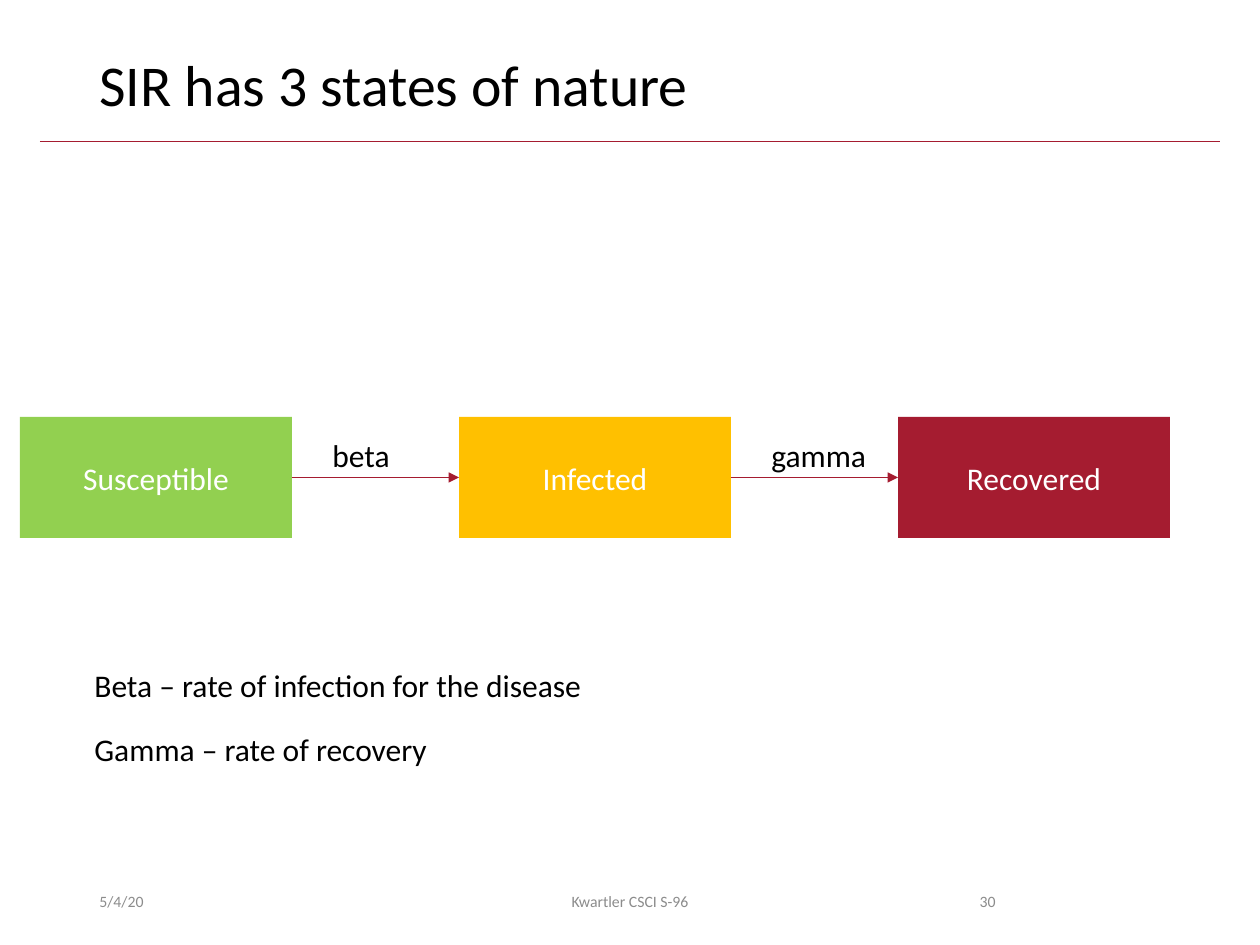
from lxml.etree import SubElement
from pptx import Presentation
from pptx.dml.color import RGBColor
from pptx.enum.shapes import MSO_CONNECTOR, MSO_SHAPE
from pptx.enum.text import MSO_ANCHOR as ANCHOR, PP_ALIGN as ALIGN
from pptx.oxml.ns import qn
from pptx.util import Pt

PX = 914400 / 126
CRIMSON = "A51C30"

prs = Presentation()
prs.slide_width, prs.slide_height = round(1260 * PX), round(945 * PX)
s = prs.slides.add_slide(prs.slide_layouts[6])


def write(sp, text, size, color, align=ALIGN.LEFT, anchor=ANCHOR.TOP, wrap=True):
    tf = sp.text_frame
    tf.word_wrap = wrap
    tf.vertical_anchor = anchor
    tf.text = text
    p = tf.paragraphs[0]
    p.alignment = align
    font = p.runs[0].font
    font.name, font.size = "Calibri", Pt(size)
    font.color.rgb = RGBColor.from_string(color)
    return p


def add_line(x1, x2, y):
    """Draw a thin horizontal line without shadow."""
    ends = [round(v * PX) for v in (x1, y, x2, y)]
    line = s.shapes.add_connector(MSO_CONNECTOR.STRAIGHT, *ends)
    line.line.color.rgb = RGBColor.from_string(CRIMSON)
    line.line.width = Pt(0.5)
    SubElement(line._element.spPr, qn("a:effectLst"))
    return line


# Title and rule
add_line(40, 1220, 141)
title = s.shapes.add_textbox(*[round(v * PX) for v in (87, 50, 1086, 82)])
write(title, "SIR has 3 states of nature", 33, "000000").line_spacing = 0.9

# Footer
for text, x, w, align in [("5/4/20", 87, 284, ALIGN.LEFT),
                          ("Kwartler CSCI S-96", 417, 426, ALIGN.CENTER),
                          ("30", 890, 118, ALIGN.RIGHT)]:
    sp = s.shapes.add_textbox(*[round(v * PX) for v in (x, 876, w, 50)])
    write(sp, text, 9, "8C8C8C", align, ANCHOR.MIDDLE)

# States
left, top, width, height, step = 20, 417, 272, 121, 439
states = [("Susceptible", "92D050"), ("Infected", "FFC000"), ("Recovered", CRIMSON)]
for i, (name, color) in enumerate(states):
    box = [round(v * PX) for v in (left + i * step, top, width, height)]
    sp = s.shapes.add_shape(MSO_SHAPE.RECTANGLE, *box)
    sp.shadow.inherit = False
    sp.fill.solid()
    sp.fill.fore_color.rgb = RGBColor.from_string(color)
    sp.line.fill.background()
    write(sp, name, 18, "FFFFFF", ALIGN.CENTER, ANCHOR.MIDDLE)

# Transitions between neighbouring states
for i in range(len(states) - 1):
    x = left + i * step
    arrow = add_line(x + width, x + step, top + height / 2)
    SubElement(arrow.line._get_or_add_ln(), qn("a:tailEnd"), type="triangle")

# Rate labels and their meaning
for text, x, y, w in [("beta", 320, 430, 83),
                      ("gamma", 320 + step, 430, 121),
                      ("Beta – rate of infection for the disease", 82, 660, 534),
                      ("Gamma – rate of recovery", 82, 724, 362)]:
    sp = s.shapes.add_textbox(*[round(v * PX) for v in (x, y, w, 50)])
    write(sp, text, 18, "000000", wrap=False)

prs.save("out.pptx")
